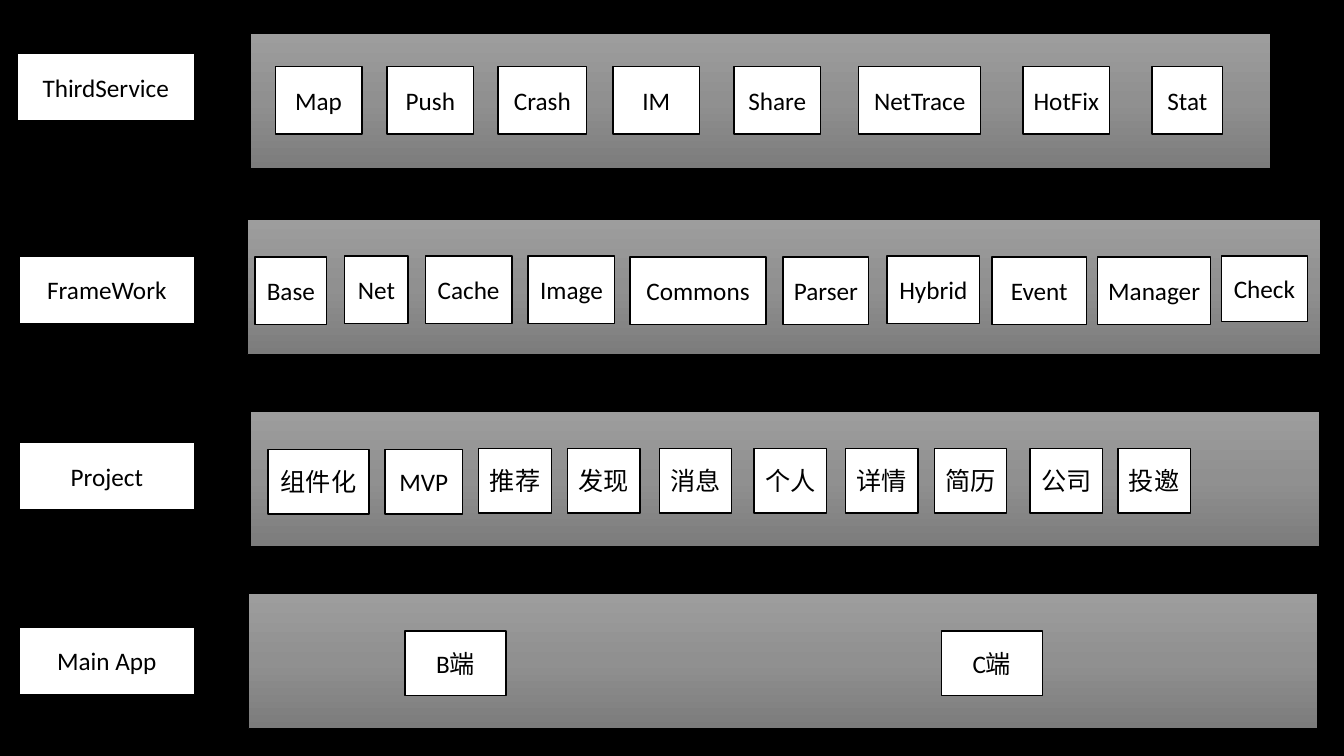
"""Builds a slide of the four layers of an app architecture."""
import copy

import pptx
import pptx.dml.color
import pptx.enum.shapes
import pptx.enum.text
import pptx.util

Pt = pptx.util.Pt

COLORS = {
    "black": "000000",
    "white": "FFFFFF",
    "band_top": "9D9D9D",
    "band_middle": "909090",
    "band_bottom": "7C7C7C",
}
BAND_STOPS = [(0, "band_top"), (0.5, "band_middle"), (1, "band_bottom")]
FONT = "Calibri"
BAND_HEIGHT = 96.5
LABEL_HEIGHT = 48.2

LAYERS = [
    {
        "label": ("ThirdService", 12.2, 38.2, 126.7),
        "band": (178.6, 23.8, 728.6),
        "module_height": 48.2,
        "modules": [
            ("Map", 196.6, 47.5, 61.9),
            ("Push", 276.5, 47.5, 61.9),
            ("Crash", 355.7, 47.5, 63.4),
            ("IM", 437.8, 47.5, 61.9),
            ("Share", 524.2, 47.5, 61.9),
            ("NetTrace", 613.4, 47.5, 87.1),
            ("HotFix", 730.8, 47.5, 61.9),
            ("Stat", 823, 47.5, 50.4),
        ],
    },
    {
        "label": ("FrameWork", 13.7, 182.9, 125.3),
        "band": (176.4, 157, 766.8),
        "module_height": 48.2,
        "modules": [
            ("Base", 182.2, 183.6, 51.1),
            ("Net", 246.2, 182.9, 45.4),
            ("Cache", 303.8, 182.9, 61.9),
            ("Image", 377.3, 182.9, 61.9),
            ("Commons", 450, 183.6, 97.2),
            ("Parser", 559.4, 183.6, 61.2),
            ("Hybrid", 633.6, 182.9, 66.2),
            ("Event", 708.5, 183.6, 67.7),
            ("Manager", 784.1, 183.6, 80.6),
            ("Check", 872.6, 182.9, 61.2),
        ],
    },
    {
        "label": ("Project", 13.7, 316.1, 125.3),
        "band": (178.6, 293.8, 763.9),
        "module_height": 46.1,
        "modules": [
            ("组件化", 191.5, 321.1, 72),
            ("MVP", 275, 321.1, 55.4),
            ("推荐", 342, 320.4, 51.8),
            ("发现", 405.4, 320.4, 51.8),
            ("消息", 470.9, 320.4, 51.8),
            ("个人", 538.6, 320.4, 51.8),
            ("详情", 604.1, 320.4, 51.8),
            ("简历", 667.4, 320.4, 51.8),
            ("公司", 735.8, 320.4, 51.8),
            ("投邀", 798.5, 320.4, 51.8),
        ],
    },
    {
        "label": ("Main App", 13.7, 447.8, 125.3),
        "band": (177.1, 424.1, 763.9),
        "module_height": 46.1,
        "modules": [
            ("B端", 289.4, 450.7, 72),
            ("C端", 672.5, 450.7, 72),
        ],
    },
]
SPECIAL_HEIGHTS = {"Check": 46.8}


def rgb(name):
    return pptx.dml.color.RGBColor.from_string(COLORS[name])


def add_rect(slide, left, top, width, height, line_width):
    rect = slide.shapes.add_shape(
        pptx.enum.shapes.MSO_SHAPE.RECTANGLE,
        Pt(left), Pt(top), Pt(width), Pt(height),
    )
    rect.shadow.inherit = False
    rect.line.color.rgb = rgb("black")
    rect.line.width = Pt(line_width)
    return rect


def write(shape, text, size=18, color="black", font=FONT):
    frame = shape.text_frame
    frame.word_wrap = True
    frame.vertical_anchor = pptx.enum.text.MSO_ANCHOR.MIDDLE
    paragraph = frame.paragraphs[0]
    paragraph.alignment = pptx.enum.text.PP_ALIGN.CENTER
    run = paragraph.add_run()
    run.text = text
    run.font.size = Pt(size)
    run.font.name = font
    run.font.color.rgb = rgb(color)


def add_box(slide, text, left, top, width, height):
    box = add_rect(slide, left, top, width, height, 1)
    box.fill.solid()
    box.fill.fore_color.rgb = rgb("white")
    write(box, text)


def add_band(slide, left, top, width):
    band = add_rect(slide, left, top, width, BAND_HEIGHT, 0.5)
    band.fill.gradient()
    band.fill.gradient_angle = 270
    stop_list = band.element.spPr.find(pptx.oxml.ns.qn("a:gradFill")).gsLst
    stop_list.append(copy.deepcopy(stop_list[-1]))
    for stop, (position, color) in zip(band.fill.gradient_stops, BAND_STOPS):
        stop.position = position
        stop.color.rgb = rgb(color)


def main():
    deck = pptx.Presentation()
    deck.slide_width, deck.slide_height = Pt(960), Pt(540)
    slide = deck.slides.add_slide(deck.slide_layouts[6])
    slide.background.fill.solid()
    slide.background.fill.fore_color.rgb = rgb("black")
    for layer in LAYERS:
        add_box(slide, *layer["label"], LABEL_HEIGHT)
        add_band(slide, *layer["band"])
        for module in layer["modules"]:
            height = SPECIAL_HEIGHTS.get(module[0], layer["module_height"])
            add_box(slide, *module, height)
    deck.save("out.pptx")


if __name__ == "__main__":
    main()
